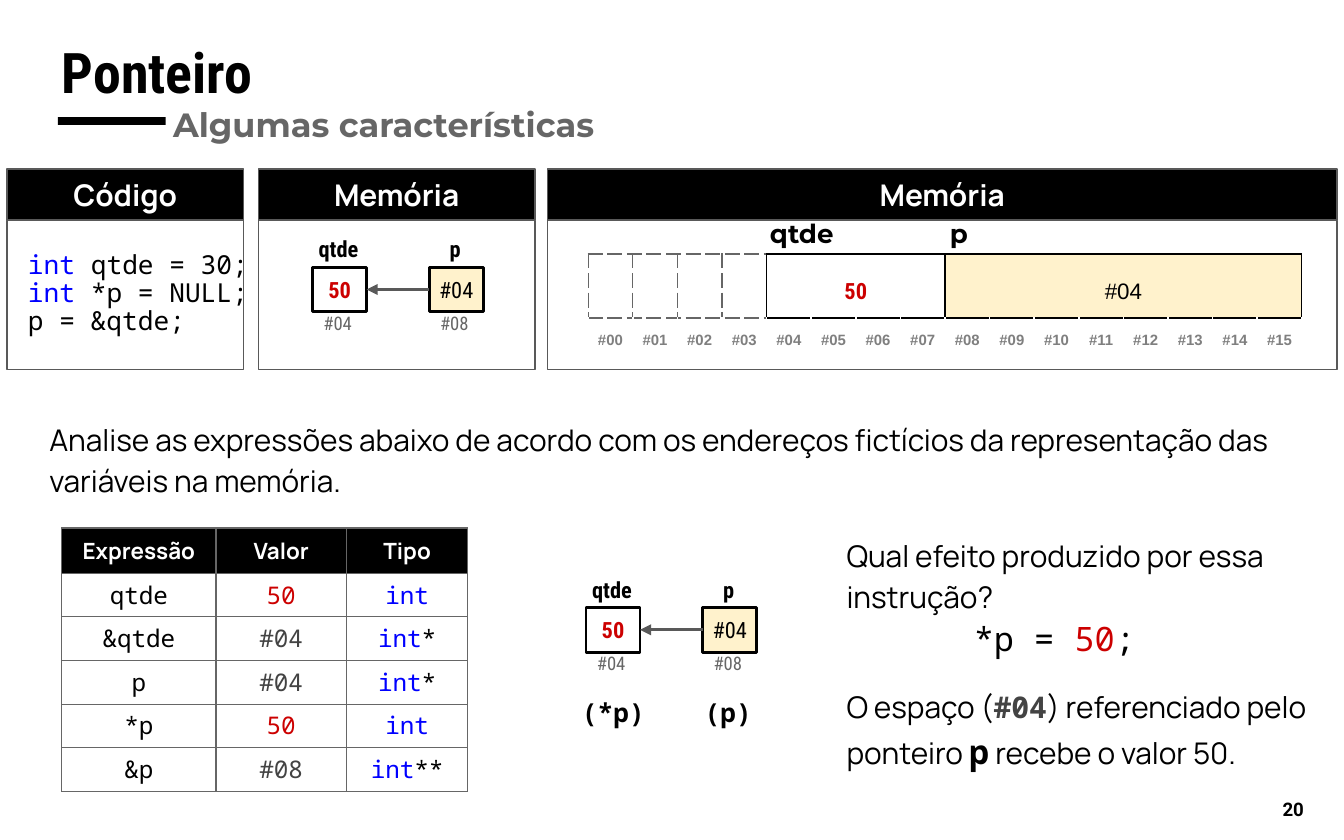
from dataclasses import dataclass, replace
from typing import NamedTuple

from lxml.etree import SubElement
from pptx import Presentation
from pptx.dml.color import RGBColor
from pptx.enum.shapes import MSO_CONNECTOR, MSO_SHAPE
from pptx.enum.text import MSO_ANCHOR as Anchor, MSO_AUTO_SIZE as AutoSize, PP_ALIGN as Align
from pptx.oxml.ns import qn
from pptx.util import Pt

COLOURS = {
    "black": "000000", "white": "FFFFFF", "grey": "666666", "frame": "595959",
    "dark": "434343", "address": "7F7F7F", "red": "CC0000", "blue": "0000FF",
    "cream": "FFF2CC",
}


@dataclass(frozen=True)
class Style:
    font: str
    size: float
    colour: str = "black"
    bold: bool = False


class Run(NamedTuple):
    text: str
    style: Style


class Box(NamedTuple):
    left: float
    top: float
    width: float
    height: float


class Variable(NamedTuple):
    name: str
    value: Run
    address: str
    fill: str


class Panel(NamedTuple):
    heading: str
    left: float
    width: float


BODY = Style("Manrope", 16)
HEADING = replace(BODY, colour="white", bold=True)
CODE = Style("Noto Sans Mono", 14)
CELL = replace(CODE, size=13)
LABEL = Style("Roboto Condensed", 12, bold=True)
VALUE = replace(LABEL, colour="red")
ADDRESS = Style("Roboto Condensed", 10, "grey")
CELL_NAME = Style("Montserrat", 14, bold=True)
SPACED = {"line_spacing": 1.15, "space_after": Pt(16)}
CENTRED = {"alignment": Align.CENTER}


def rgb(name: str) -> RGBColor:
    return RGBColor.from_string(COLOURS[name])


def apply(target, formats: dict) -> None:
    for name, value in formats.items():
        setattr(target, name, value)


def margins(inset: float) -> dict:
    return {f"margin_{side}": Pt(inset) for side in ("left", "top", "right", "bottom")}


def write(frame, lines: list[list[Run]], formats: dict) -> None:
    for index, runs in enumerate(lines):
        line = frame.add_paragraph() if index else frame.paragraphs[0]
        apply(line, formats)
        for text, style in runs:
            run = line.add_run()
            run.text = text
            apply(run.font, {"name": style.font, "size": Pt(style.size), "bold": style.bold})
            run.font.color.rgb = rgb(style.colour)


def fill_frame(frame, lines, formats: dict, inset: float, anchor: Anchor) -> None:
    apply(frame, {"word_wrap": True, "auto_size": AutoSize.NONE,
                  "vertical_anchor": anchor, **margins(inset)})
    write(frame, lines, formats)


def add_text(box: Box, lines: list[list[Run]], formats: dict = {}, inset: float = 7.2,
             anchor: Anchor = Anchor.TOP) -> None:
    text = slide.shapes.add_textbox(*map(Pt, box))
    fill_frame(text.text_frame, lines, formats, inset, anchor)


def add_rect(box: Box, fill: str, line: str = "", weight: float = 0.75,
             runs: list[Run] = [], formats: dict = {}, inset: float = 7.2) -> None:
    rect = slide.shapes.add_shape(MSO_SHAPE.RECTANGLE, *map(Pt, box))
    rect.shadow.inherit = False
    rect.fill.solid()
    rect.fill.fore_color.rgb = rgb(fill)
    if line:
        rect.line.color.rgb = rgb(line)
        rect.line.width = Pt(weight)
    else:
        rect.line.fill.background()
    if runs:
        fill_frame(rect.text_frame, [runs], formats, inset, Anchor.MIDDLE)


def add_arrow(left: float, right: float, y: float) -> None:
    arrow = slide.shapes.add_connector(MSO_CONNECTOR.STRAIGHT, Pt(right), Pt(y), Pt(left), Pt(y))
    arrow.line.color.rgb = rgb("frame")
    arrow.line.width = Pt(1.5)
    SubElement(arrow.line._get_or_add_ln(), qn("a:tailEnd"), type="triangle")
    SubElement(arrow._element.spPr, qn("a:effectLst"))


def add_diagram(left: float, top: float) -> None:
    for index, variable in enumerate(VARIABLES):
        x = left + index * 62.5
        add_rect(Box(x, top, 29, 24), variable.fill, "black", 1.5, [variable.value], CENTRED, 0)
        add_text(Box(x - 1, top - 17, 30, 14.4), [[Run(variable.name, LABEL)]], CENTRED, 0)
        add_text(Box(x - 1, top + 24, 29, 14.4), [[Run(variable.address, ADDRESS)]], CENTRED, 0)
    add_arrow(left + 29, left + 62.5, top + 12)


def add_grid(left: float, top: float, widths: list[float], heights: list[float]):
    grid = slide.shapes.add_table(len(heights), len(widths), Pt(left), Pt(top),
                                  Pt(sum(widths)), Pt(sum(heights))).table
    apply(grid, {"first_row": False, "horz_banding": False})
    for column, width in zip(grid.columns, widths):
        column.width = Pt(width)
    for row, height in zip(grid.rows, heights):
        row.height = Pt(height)
    return grid


def style_cell(cell, fill: str, runs: list[Run], formats: dict,
               sides: str = "", colour: str = "black", dash: str = "solid") -> None:
    properties = cell._tc.get_or_add_tcPr()
    for side in sides:
        edge = SubElement(properties, qn(f"a:ln{side}"), w=str(Pt(0.75)))
        SubElement(SubElement(edge, qn("a:solidFill")), qn("a:srgbClr"), val=COLOURS[colour])
        SubElement(edge, qn("a:prstDash"), val=dash)
    cell.fill.solid()
    cell.fill.fore_color.rgb = rgb(fill)
    apply(cell, formats)
    if runs:
        write(cell.text_frame, [runs], CENTRED)


VARIABLES = [
    Variable("qtde", Run("50", VALUE), "#04", "white"),
    Variable("p", Run("#04", replace(LABEL, bold=False)), "#08", "cream"),
]
PANELS = [Panel("Código", 3.8, 126.7), Panel("Memória", 138.4, 148.3),
          Panel("Memória", 293.2, 423.2)]

presentation = Presentation()
apply(presentation, {"slide_width": Pt(720), "slide_height": Pt(450)})
slide = presentation.slides.add_slide(presentation.slide_layouts[5])

# Title, subtitle and page number
title = slide.shapes.title
apply(title, dict(zip(("left", "top", "width", "height"), map(Pt, (25.9, 13, 126.7, 50.4)))))
fill_frame(title.text_frame, [[Run("Ponteiro", replace(LABEL, size=30))]],
           {"alignment": Align.LEFT}, 7.2, Anchor.TOP)
add_rect(Box(31, 62.8, 57.8, 4.2), "black")
add_text(Box(85.7, 45.4, 260, 35.3),
         [[Run("Algumas características", Style("Montserrat", 18, "grey", True))]], SPACED)
add_text(Box(662.4, 416.2, 43.2, 34.6), [[Run("20", Style("Roboto", 10, bold=True))]],
         {"alignment": Align.RIGHT}, anchor=Anchor.MIDDLE)

# Panels
for heading, left, width in PANELS:
    add_rect(Box(left, 118, width, 80), "white", "frame")
    add_rect(Box(left, 90.5, width, 27.5), "black", "frame", runs=[Run(heading, HEADING)])

keyword = Run("int ", replace(CODE, colour="blue"))
add_text(Box(7.9, 127.7, 144.7, 56.9),
         [[keyword, Run("qtde = 30;", CODE)], [keyword, Run("*p = NULL;", CODE)],
          [Run("p = &qtde;", CODE)]], {"line_spacing": 0.89})

# Variable diagrams
add_diagram(167.4, 143.1)
add_diagram(313.9, 325.4)
for left, alias in ((311, "(*p)"), (372.5, "(p)")):
    add_text(Box(left, 373, 35.3, 14.4), [[Run(alias, replace(CODE, bold=True))]], CENTRED, 0)

# Memory strip
memory = add_grid(315.1, 136.1, [23.91] * 16, [34.3, 24])
number = Style("Arial", 8, "address", True)
address_format = {"margin_left": Pt(2), "margin_right": Pt(2),
                  "margin_top": Pt(7.2), "margin_bottom": Pt(7.2)}
value_format = {**address_format, "vertical_anchor": Anchor.BOTTOM}
for index in range(16):
    edge = ("grey", "dash") if index < 4 else ("black", "solid")
    style_cell(memory.cell(1, index), "white", [Run(f"#{index:02}", number)],
               address_format, "T", *edge)
    sides = "LRTB" if index < 4 else {4: "LTB", 7: "RTB", 8: "LTB", 15: "RTB"}.get(index, "TB")
    if index not in (4, 8):
        style_cell(memory.cell(0, index), "white", [], margins(0), sides, *edge)
for first, last, fill, value in ((4, 7, "white", Run("50", VALUE)),
                                 (8, 15, "cream", Run("#04", Style("Arial", 12)))):
    memory.cell(0, first).merge(memory.cell(0, last))
    style_cell(memory.cell(0, first), fill, [value], value_format, "LRTB")
for left, name in ((405.4, "qtde"), (501.8, "p")):
    add_text(Box(left, 109.4, 59, 27.4), [[Run(name, CELL_NAME)]])

# Exercise statement
add_text(Box(19.4, 216, 672.5, 35.3),
         [[Run("Analise as expressões abaixo de acordo com os endereços fictícios da "
               "representação das variáveis na memória.", BODY)]], SPACED)

# Expression table: expression, value, pointer stars after the type
EXPRESSIONS = [("qtde", "50", ""), ("&qtde", "#04", "*"), ("p", "#04", "*"),
               ("*p", "50", ""), ("&p", "#08", "**")]
heading_style = replace(HEADING, size=12)
rows = [[[Run(name, heading_style)] for name in ("Expressão", "Valor", "Tipo")]]
for expression, value, stars in EXPRESSIONS:
    value_style = replace(CELL, colour="dark" if value.startswith("#") else "red")
    kind = [Run("int", replace(CELL, colour="blue"))] + ([Run(stars, CELL)] if stars else [])
    rows.append([[Run(expression, CELL)], [Run(value, value_style)], kind])
expressions = add_grid(33.1, 282.9, [82.6, 70, 64.9], [24.2] + [23.4] * 5)
for r, row in enumerate(rows):
    for c, runs in enumerate(row):
        anchor = Anchor.TOP if r else Anchor.MIDDLE
        style_cell(expressions.cell(r, c), "white" if r else "black", runs,
                   {**margins(2.7), "vertical_anchor": anchor}, "LRTB", "grey")

# Question and answer
add_text(Box(446.4, 277.9, 265.7, 46),
         [[Run("Qual efeito produzido por essa instrução?", BODY)]], SPACED)
statement = replace(CODE, size=18)
add_text(Box(507.6, 331.2, 114.5, 27.4),
         [[Run("*p = ", statement), Run("50", replace(statement, colour="red")),
           Run(";", statement)]], CENTRED, 0)
add_text(Box(446.4, 364.3, 265.7, 50.4),
         [[Run("O espaço (", BODY), Run("#04", Style(CODE.font, 16, "dark", True)),
           Run(") referenciado pelo ponteiro ", BODY), Run("p", replace(statement, bold=True)),
           Run(" recebe o valor 50.", BODY)]], {"line_spacing": 1.15}, anchor=Anchor.MIDDLE)

presentation.save("out.pptx")
